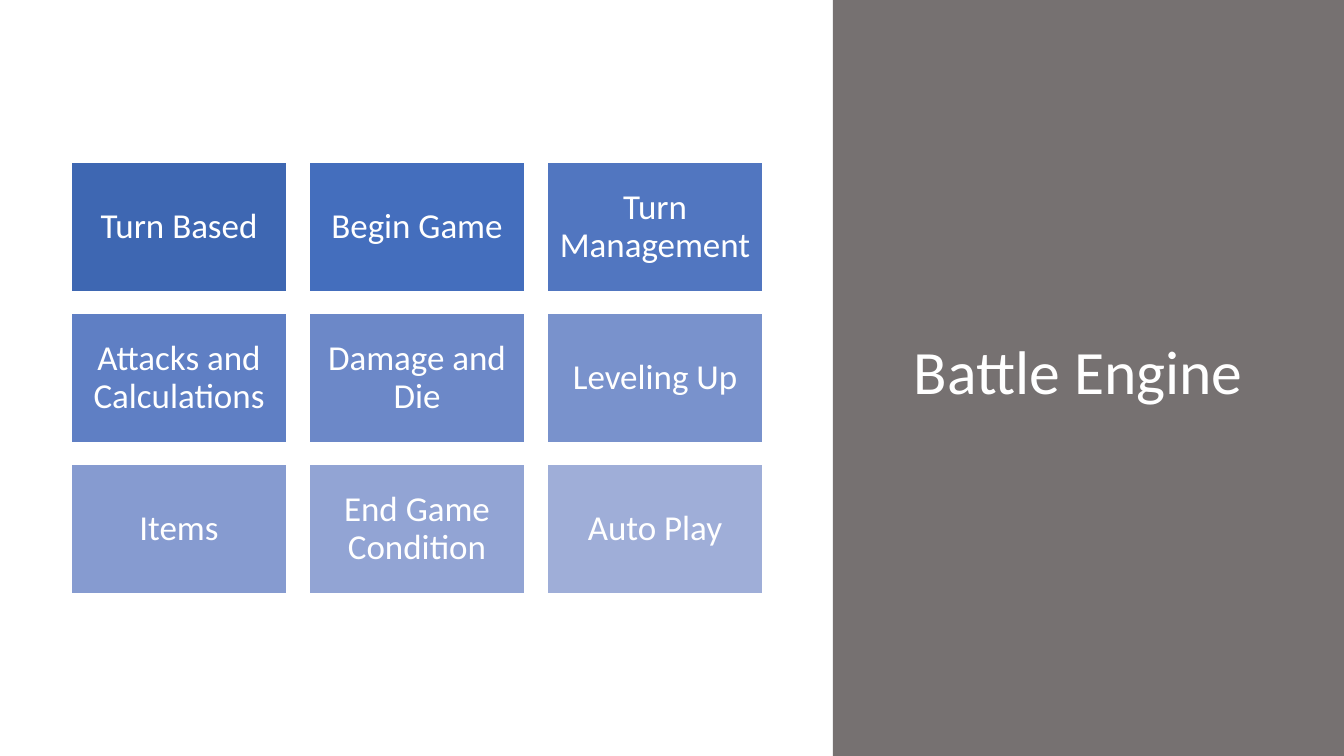
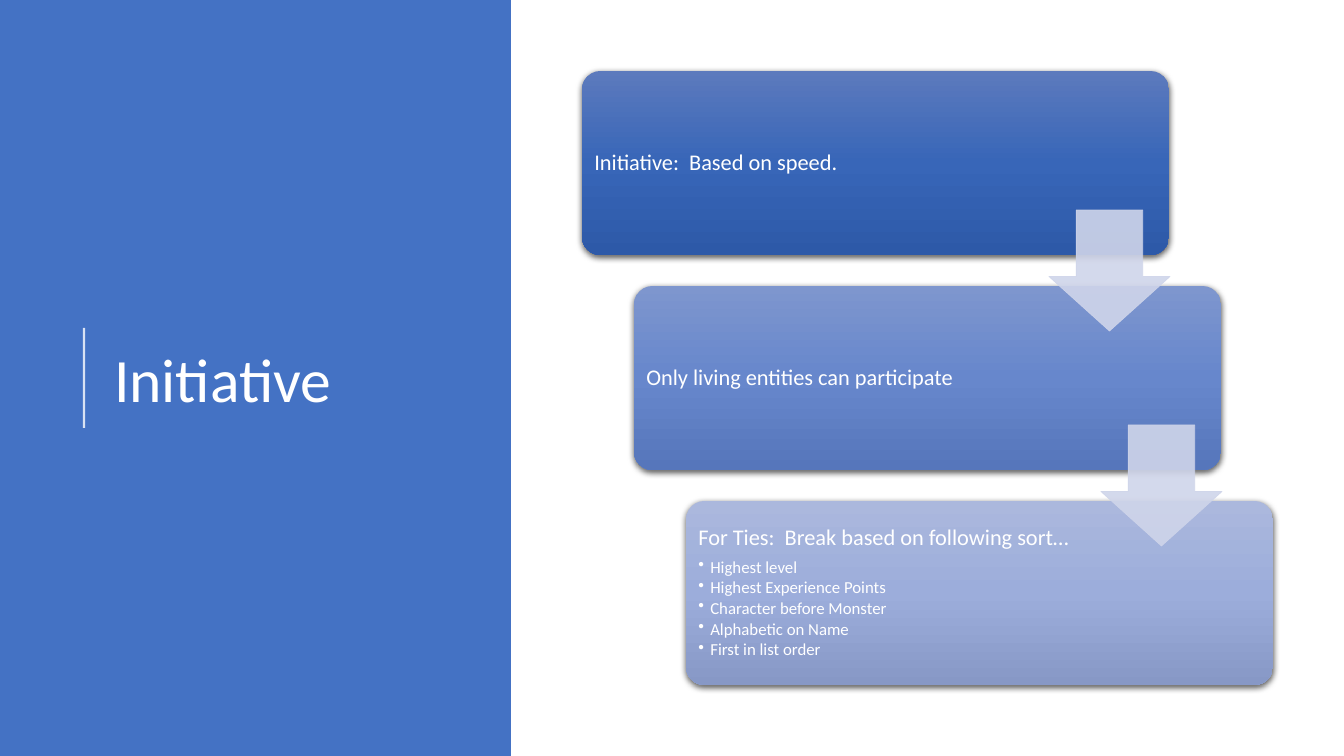
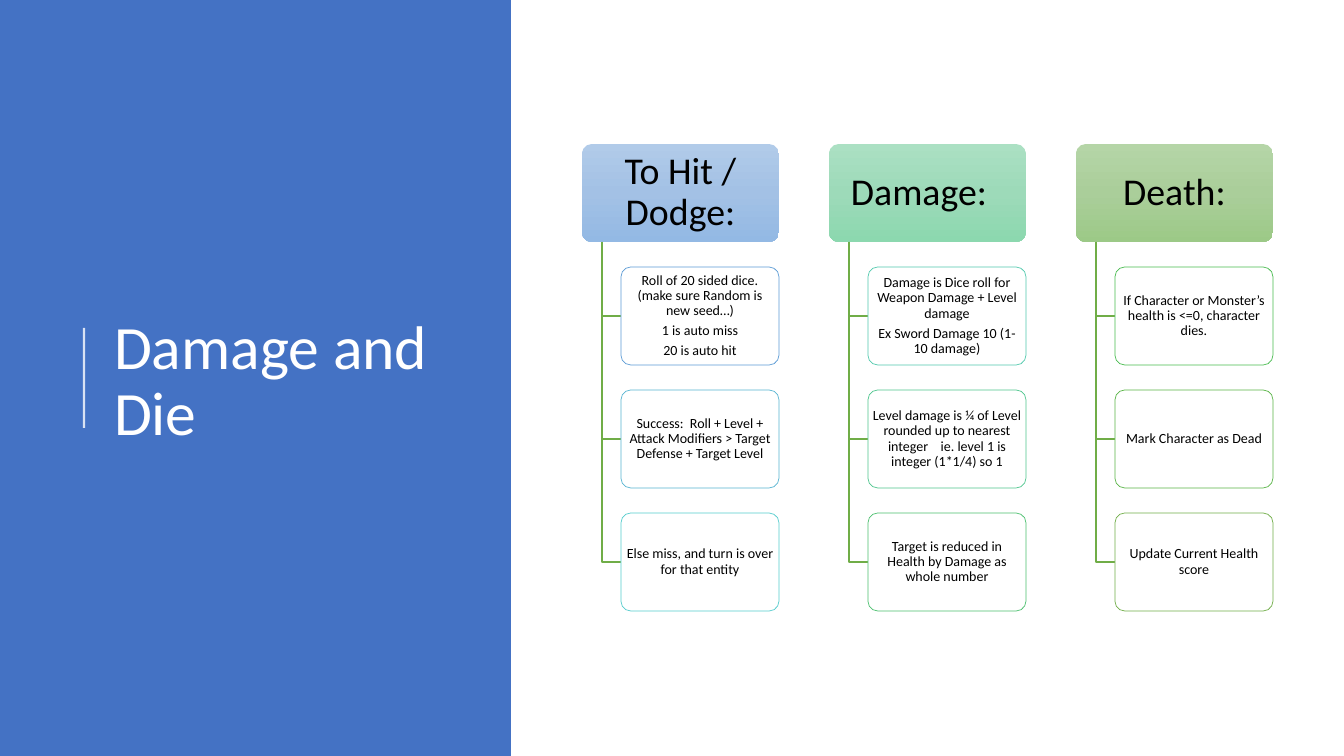
from copy import deepcopy
from dataclasses import dataclass

from lxml.etree import SubElement
from pptx import Presentation
from pptx.dml.color import RGBColor
from pptx.enum.shapes import MSO_CONNECTOR as Connector
from pptx.enum.shapes import MSO_SHAPE as Preset
from pptx.enum.text import MSO_ANCHOR as Anchor
from pptx.enum.text import MSO_AUTO_SIZE as AutoSize
from pptx.enum.text import PP_ALIGN as Align
from pptx.oxml.ns import qn
from pptx.shapes.autoshape import Shape
from pptx.slide import Slide
from pptx.text.text import TextFrame
from pptx.util import Emu, Pt

PAGE_WIDTH, PAGE_HEIGHT = 1344, 756
EMU_PER_PX = 12192000 / PAGE_WIDTH
FONT = "Calibri"
TITLE_ONLY = 5
PANEL_WIDTH = 511

WHITE = RGBColor(0xFF, 0xFF, 0xFF)
BLACK = RGBColor(0x00, 0x00, 0x00)
GRAY = RGBColor(0x76, 0x71, 0x71)
BLUE = RGBColor(0x44, 0x72, 0xC4)
GREEN = RGBColor(0x70, 0xAD, 0x47)
PALE_BLUE = RGBColor(0xCF, 0xD5, 0xEA)


@dataclass(frozen=True)
class Area:
    left: int
    top: int
    width: int
    height: int

    def moved(self, right: int, down: int) -> "Area":
        return Area(self.left + right, self.top + down, self.width, self.height)


@dataclass(frozen=True)
class Tile:
    text: str
    color: RGBColor


@dataclass(frozen=True)
class Step:
    text: str
    gradient: tuple[RGBColor, ...]
    details: tuple[str, ...] = ()


@dataclass(frozen=True)
class Leaf:
    border: RGBColor
    lines: tuple[str, ...]


@dataclass(frozen=True)
class Branch:
    heading: str
    gradient: tuple[RGBColor, ...]
    leaves: tuple[Leaf, ...]
    right_inset: int = 6


def rgb(*codes: str) -> tuple[RGBColor, ...]:
    return tuple(RGBColor.from_string(code) for code in codes)


TILES = (
    Tile("Turn Based", RGBColor(0x3E, 0x67, 0xB2)),
    Tile("Begin Game", RGBColor(0x44, 0x6E, 0xBD)),
    Tile("Turn Management", RGBColor(0x51, 0x76, 0xC0)),
    Tile("Attacks and Calculations", RGBColor(0x5F, 0x7F, 0xC4)),
    Tile("Damage and Die", RGBColor(0x6C, 0x88, 0xC8)),
    Tile("Leveling Up", RGBColor(0x79, 0x92, 0xCC)),
    Tile("Items", RGBColor(0x86, 0x9B, 0xD0)),
    Tile("End Game Condition", RGBColor(0x92, 0xA4, 0xD4)),
    Tile("Auto Play", RGBColor(0x9F, 0xAE, 0xD8)),
)

STEPS = (
    Step("Initiative:  Based on speed.", rgb("5C7ABD", "3866B8", "2D59A8")),
    Step("Only living entities can participate", rgb("7E96CE", "6787CC", "5676BB")),
    Step(
        "For Ties:  Break based on following sort…",
        rgb("ABB8DD", "9CADDB", "8798C6"),
        (
            "Highest level",
            "Highest Experience Points",
            "Character before Monster",
            "Alphabetic on Name",
            "First in list order",
        ),
    ),
)

BRANCHES = (
    Branch(
        "To Hit / Dodge:",
        rgb("B1CBE9", "A3C1E5", "93B9E4"),
        (
            Leaf(
                RGBColor(0x5B, 0x9B, 0xD5),
                (
                    "Roll of 20 sided dice. (make sure Random is new seed…)",
                    "1 is auto miss",
                    "20 is auto hit",
                ),
            ),
            Leaf(
                RGBColor(0x57, 0xB4, 0xD1),
                ("Success:  Roll + Level + Attack Modifiers > Target Defense + Target Level",),
            ),
            Leaf(
                RGBColor(0x54, 0xCC, 0xCD),
                ("Else miss, and turn is over for that entity",),
            ),
        ),
    ),
    Branch(
        "Damage:",
        rgb("ABE0C3", "9DDAB9", "8CD8AF"),
        (
            Leaf(
                RGBColor(0x51, 0xC9, 0xAD),
                (
                    "Damage is Dice roll for Weapon Damage + Level damage",
                    "Ex Sword Damage 10 (1-10 damage)",
                ),
            ),
            Leaf(
                RGBColor(0x4D, 0xC5, 0x8D),
                (
                    "Level damage is ¼ of Level rounded up to nearest integer    "
                    "ie. level 1 is integer (1*1/4) so 1",
                ),
            ),
            Leaf(
                RGBColor(0x4A, 0xC0, 0x6E),
                ("Target is reduced in Health by Damage as whole number",),
            ),
        ),
        right_inset=23,
    ),
    Branch(
        "Death:",
        rgb("B5D5A7", "AACE9A", "9CC987"),
        (
            Leaf(
                RGBColor(0x48, 0xBB, 0x4F),
                ("If Character or Monster’s health is <=0, character dies.",),
            ),
            Leaf(RGBColor(0x59, 0xB5, 0x46), ("Mark Character as Dead",)),
            Leaf(GREEN, ("Update Current Health score",)),
        ),
    ),
)


def px(length: int) -> Emu:
    return Emu(round(length * EMU_PER_PX))


def fade(properties, percent: int) -> None:
    for color in properties.iter(qn("a:srgbClr")):
        SubElement(color, qn("a:alpha"), val=str(percent * 1000))


def place(shape: Shape, area: Area) -> None:
    shape.left, shape.top = px(area.left), px(area.top)
    shape.width, shape.height = px(area.width), px(area.height)


def paint(box: Shape, colors: tuple[RGBColor, ...]) -> None:
    if len(colors) == 1:
        box.fill.solid()
        box.fill.fore_color.rgb = colors[0]
        return
    box.fill.gradient()
    box.fill.gradient_angle = 270
    stops = box.element.spPr.find(qn("a:gradFill")).find(qn("a:gsLst"))
    while len(stops) < len(colors):
        stops.append(deepcopy(stops[0]))
    for index, (stop, color) in enumerate(zip(box.fill.gradient_stops, colors)):
        stop.color.rgb = color
        stop.position = index / (len(colors) - 1)


def add_box(
    page: Slide,
    preset: Preset,
    area: Area,
    colors: tuple[RGBColor, ...],
    *,
    border: RGBColor | None = None,
    weight: float = 0.5,
    adjustments: tuple[float, ...] = (),
) -> Shape:
    box = page.shapes.add_shape(
        preset, px(area.left), px(area.top), px(area.width), px(area.height)
    )
    box.shadow.inherit = False
    for index, value in enumerate(adjustments):
        box.adjustments[index] = value
    paint(box, colors)
    if border is None:
        box.line.fill.background()
    else:
        box.line.color.rgb = border
        box.line.width = Pt(weight)
    return box


def add_shadow(box: Shape) -> None:
    effects = box.element.spPr.find(qn("a:effectLst"))
    shadow = SubElement(
        effects,
        qn("a:outerShdw"),
        blurRad=str(Pt(4.5)),
        dist=str(Pt(1.5)),
        dir="5400000",
        algn="ctr",
        rotWithShape="0",
    )
    SubElement(shadow, qn("a:srgbClr"), val="000000")
    fade(shadow, 63)


def set_frame(frame: TextFrame, insets: tuple[int, int, int, int]) -> None:
    frame.word_wrap = True
    frame.auto_size = AutoSize.NONE
    frame.vertical_anchor = Anchor.MIDDLE
    frame.margin_left, frame.margin_top, frame.margin_right, frame.margin_bottom = map(
        px, insets
    )


def write(
    frame: TextFrame,
    text: str,
    *,
    size: int,
    color: RGBColor = WHITE,
    align: Align = Align.LEFT,
    after: float = 0.35,
    bullet: bool = False,
) -> None:
    para = frame.add_paragraph() if frame.text else frame.paragraphs[0]
    para.alignment = align
    para.line_spacing = 0.9
    para.space_after = Pt(size * after)
    if bullet:
        para.level = 1
        properties = para._p.get_or_add_pPr()
        properties.set("marL", str(px(12)))
        properties.set("indent", str(-px(12)))
        SubElement(properties, qn("a:buChar"), char="•")
    span = para.add_run()
    span.text = text
    span.font.name = FONT
    span.font.size = Pt(size)
    span.font.color.rgb = color


def add_page(deck, title: str, title_area: Area, panel_left: int, color: RGBColor) -> Slide:
    page = deck.slides.add_slide(deck.slide_layouts[TITLE_ONLY])
    add_box(page, Preset.RECTANGLE, Area(panel_left, 0, PANEL_WIDTH, PAGE_HEIGHT), (color,))
    heading = page.shapes.title
    place(heading, title_area)
    set_frame(heading.text_frame, (10, 5, 10, 5))
    write(heading.text_frame, title, size=44, after=0)
    page.shapes.element.append(heading.element)
    return page


def add_blue_page(deck, title: str) -> Slide:
    page = add_page(deck, title, Area(104, 79, 372, 607), 0, BLUE)
    rule = page.shapes.add_connector(Connector.STRAIGHT, px(84), px(428), px(84), px(328))
    rule.line.color.rgb = WHITE
    rule.line.width = Pt(1.5)
    fade(rule.element.spPr, 80)
    SubElement(rule.element.spPr, qn("a:effectLst"))
    return page


def build_engine_page(deck) -> None:
    page = add_page(
        deck, "Battle Engine", Area(904, 71, 404, 607), PAGE_WIDTH - PANEL_WIDTH, GRAY
    )
    first = Area(71, 162, 216, 130)
    for index, tile in enumerate(TILES):
        row, column = divmod(index, 3)
        area = first.moved(238 * column, 151 * row)
        box = add_box(page, Preset.RECTANGLE, area, (tile.color,), border=WHITE, weight=1)
        set_frame(box.text_frame, (10, 10, 10, 10))
        write(box.text_frame, tile.text, size=25, align=Align.CENTER)


def build_initiative_page(deck) -> None:
    page = add_blue_page(deck, "Initiative")
    first_step = Area(582, 71, 587, 184)
    first_arrow = Area(1049, 210, 121, 121)
    right, down = 52, 215
    for index, step in enumerate(STEPS):
        area = first_step.moved(right * index, down * index)
        box = add_box(page, Preset.ROUNDED_RECTANGLE, area, step.gradient, adjustments=(0.1,))
        add_shadow(box)
        set_frame(box.text_frame, (7, 7, 7, 7))
        write(box.text_frame, step.text, size=16)
        for detail in step.details:
            write(box.text_frame, detail, size=12, after=0.15, bullet=True)
    for index in range(len(STEPS) - 1):
        area = first_arrow.moved(right * index, down * index)
        arrow = add_box(
            page,
            Preset.DOWN_ARROW,
            area,
            (PALE_BLUE,),
            border=PALE_BLUE,
            adjustments=(0.55, 0.45),
        )
        fade(arrow.element.spPr, 90)


def add_elbow(page: Slide, heading: Area, leaf: Area) -> None:
    trunk = heading.left + 20
    middle = leaf.top + leaf.height // 2
    builder = page.shapes.build_freeform(trunk, heading.top + heading.height, EMU_PER_PX)
    builder.add_line_segments([(trunk, middle), (leaf.left, middle)], close=False)
    elbow = builder.convert_to_shape()
    elbow.shadow.inherit = False
    elbow.fill.background()
    elbow.line.color.rgb = GREEN
    elbow.line.width = Pt(1)


def build_damage_page(deck) -> None:
    page = add_blue_page(deck, "Damage and Die")
    first_heading = Area(582, 144, 197, 98)
    first_leaf = Area(621, 267, 158, 98)
    for column, branch in enumerate(BRANCHES):
        heading = first_heading.moved(247 * column, 0)
        box = add_box(
            page, Preset.ROUNDED_RECTANGLE, heading, branch.gradient, adjustments=(0.1,)
        )
        set_frame(box.text_frame, (6, 4, branch.right_inset, 4))
        write(box.text_frame, branch.heading, size=27, color=BLACK, align=Align.CENTER)
        for row, leaf in enumerate(branch.leaves):
            area = first_leaf.moved(247 * column, 123 * row)
            add_elbow(page, heading, area)
            box = add_box(
                page,
                Preset.ROUNDED_RECTANGLE,
                area,
                (WHITE,),
                border=leaf.border,
                adjustments=(0.1,),
            )
            set_frame(box.text_frame, (2, 1, 2, 1))
            for line in leaf.lines:
                write(box.text_frame, line, size=10, color=BLACK, align=Align.CENTER)


def main() -> None:
    deck = Presentation()
    deck.slide_width, deck.slide_height = px(PAGE_WIDTH), px(PAGE_HEIGHT)
    build_engine_page(deck)
    build_initiative_page(deck)
    build_damage_page(deck)
    deck.save("out.pptx")


if __name__ == "__main__":
    main()
